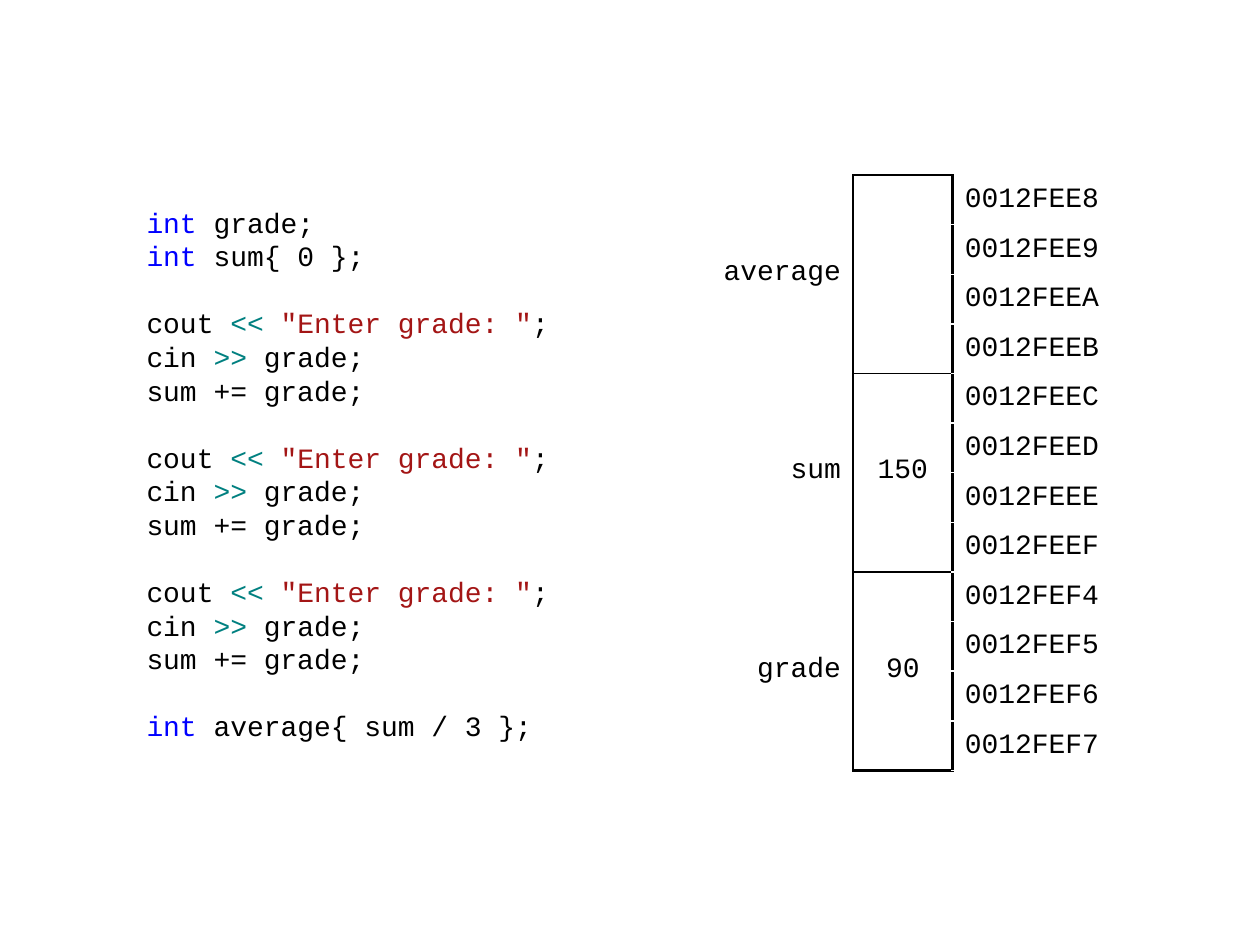
from lxml.etree import SubElement
from pptx import Presentation
from pptx.dml.color import RGBColor
from pptx.enum.text import MSO_ANCHOR, PP_ALIGN
from pptx.oxml.ns import qn
from pptx.util import Cm, Pt

BLACK, BLUE, TEAL, RED = "000000", "0000FF", "008080", "A31515"


def rgb(value):
    return RGBColor.from_string(value)


def add_border(cell, side, width):
    """Draw one side ("L", "R", "T" or "B"); call in that order, before the fill."""
    properties = cell._tc.get_or_add_tcPr()
    line = SubElement(properties, qn(f"a:ln{side}"), w=str(Pt(width)))
    fill = SubElement(line, qn("a:solidFill"))
    SubElement(fill, qn("a:srgbClr"), val=BLACK)


class CodePage:
    font_name = "Courier New"
    font_size = Pt(16)
    line_height = Pt(19.2)

    def __init__(self, deck):
        self.page = deck.slides.add_slide(deck.slide_layouts[1])
        title = self.page.shapes.title
        title.element.getparent().remove(title.element)

    def style(self, font, color=BLACK):
        font.name = self.font_name
        font.size = self.font_size
        font.color.rgb = rgb(color)

    def code(self, blocks, left, top, width, height):
        """Fill the body with blocks of code lines, one empty line's height apart."""
        body = self.page.placeholders[1]
        body.left, body.top, body.width, body.height = map(Cm, (left, top, width, height))
        frame = body.text_frame
        frame.word_wrap = True
        frame.vertical_anchor = MSO_ANCHOR.TOP
        lines = [(block and not row, spans)
                 for block, rows in enumerate(blocks) for row, spans in enumerate(rows)]
        for number, (starts_block, spans) in enumerate(lines):
            para = frame.add_paragraph() if number else frame.paragraphs[0]
            properties = para._p.get_or_add_pPr()
            properties.set("marL", "0")
            properties.set("indent", "0")
            SubElement(properties, qn("a:buNone"))
            para.line_spacing = self.line_height
            para.space_before = self.line_height if starts_block else Pt(0)
            para.space_after = Pt(0)
            for text, color in spans:
                span = para.add_run()
                span.text = text
                self.style(span.font, color)

    def cell_text(self, cell, text, align, side=0.25, above=0.0, below=0.05):
        cell.margin_left = cell.margin_right = Cm(side)
        cell.margin_top, cell.margin_bottom = Cm(above), Cm(below)
        cell.vertical_anchor = MSO_ANCHOR.MIDDLE
        para = cell.text_frame.paragraphs[0]
        para.text = text
        para.alignment = align
        self.style(para.font)
        for span in para.runs:
            self.style(span.font)

    def memory(self, variables, left, top, widths, row_height):
        """Show each variable as name, value and the addresses of its bytes."""
        size = len(variables[0][2])
        rows = size * len(variables)
        frame = self.page.shapes.add_table(rows, len(widths), Cm(left), Cm(top),
                                           Cm(sum(widths)), Cm(row_height * rows))
        table = frame.table
        table.first_row = table.horz_banding = False
        for column, width in zip(table.columns, widths):
            column.width = Cm(width)
        for row in table.rows:
            row.height = Cm(row_height)

        for index, (name, value, addresses) in enumerate(variables):
            first = index * size
            last = first + size - 1
            for row, address in enumerate(addresses, first):
                name_cell, value_cell, address_cell = table.rows[row].cells
                add_border(name_cell, "R", 1.5)
                add_border(value_cell, "L", 1.5)
                add_border(value_cell, "R", 1.5)
                add_border(address_cell, "L", 1.5)
                if row == first:
                    add_border(value_cell, "T", 1 if index else 1.5)
                    add_border(value_cell, "B", 1 if last < rows - 1 else 1.5)
                for cell in (name_cell, value_cell, address_cell):
                    cell.fill.background()
                self.cell_text(address_cell, address, PP_ALIGN.LEFT, above=0.1, below=0.1)
            for column in (0, 1):
                table.cell(first, column).merge(table.cell(last, column))
            self.cell_text(table.cell(first, 0), name, PP_ALIGN.RIGHT)
            self.cell_text(table.cell(first, 1), value, PP_ALIGN.CENTER, side=0.2)


def main():
    deck = Presentation()
    deck.slide_width, deck.slide_height = Cm(25.4), Cm(19.05)
    page = CodePage(deck)

    declarations = [
        [("int", BLUE), (" grade;", BLACK)],
        [("int", BLUE), (" sum{ 0 };", BLACK)],
    ]
    read_grade = [
        [("cout ", BLACK), ("<< ", TEAL), ('"Enter grade: "', RED), (";", BLACK)],
        [("cin ", BLACK), (">>", TEAL), (" grade;", BLACK)],
        [("sum += grade;", BLACK)],
    ]
    result = [[("int", BLUE), (" average{ sum / 3 };", BLACK)]]
    page.code([declarations, *[read_grade] * 3, result], 2.7, 4.01, 9, 11)

    variables = [
        ("average", "", [f"0012FEE{digit}" for digit in "89AB"]),
        ("sum", "150", [f"0012FEE{digit}" for digit in "CDEF"]),
        ("grade", "90", [f"0012FEF{digit}" for digit in "4567"]),
    ]
    page.memory(variables, 14.2, 3.53, (3, 2, 3.5), 1)
    deck.save("out.pptx")


if __name__ == "__main__":
    main()
